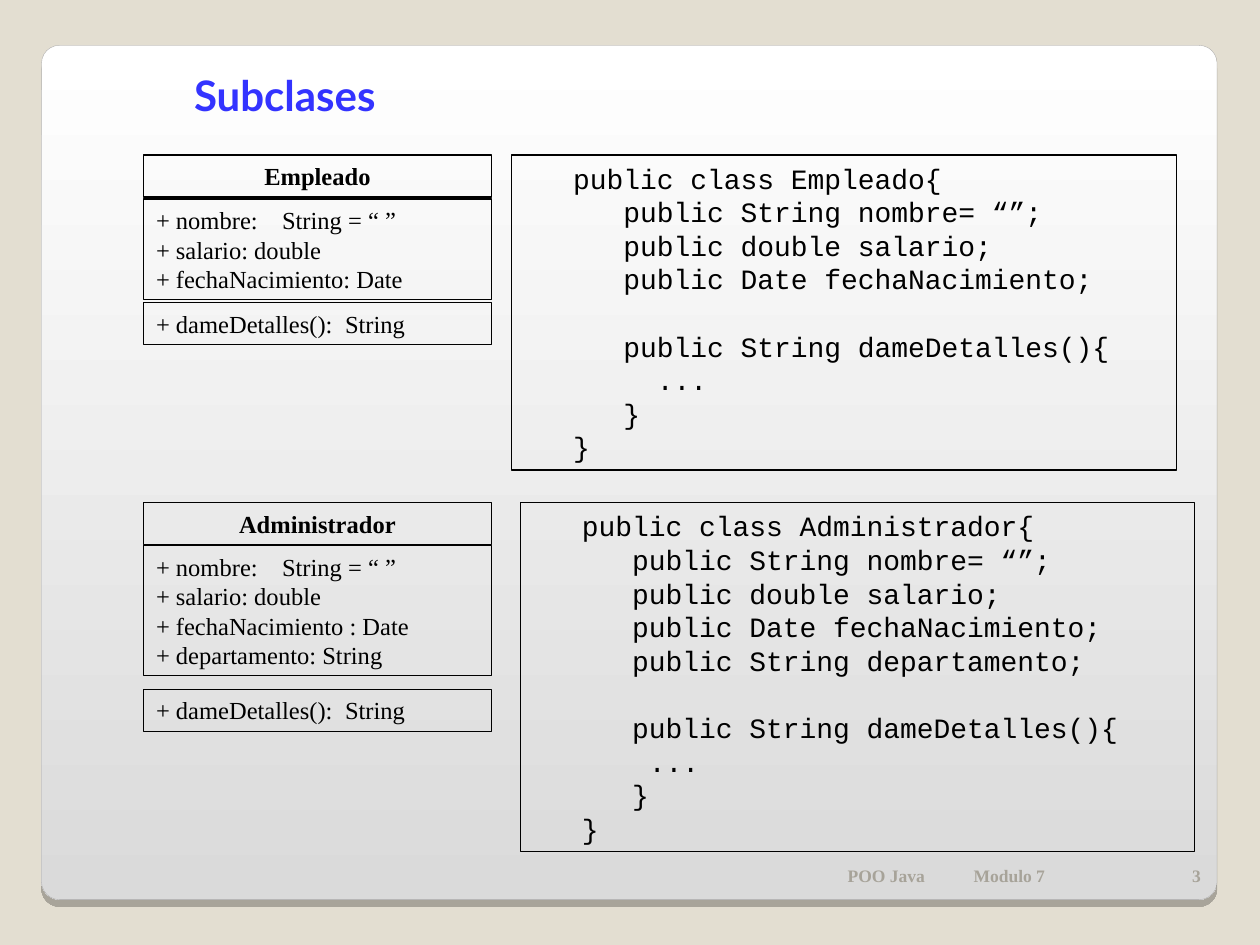
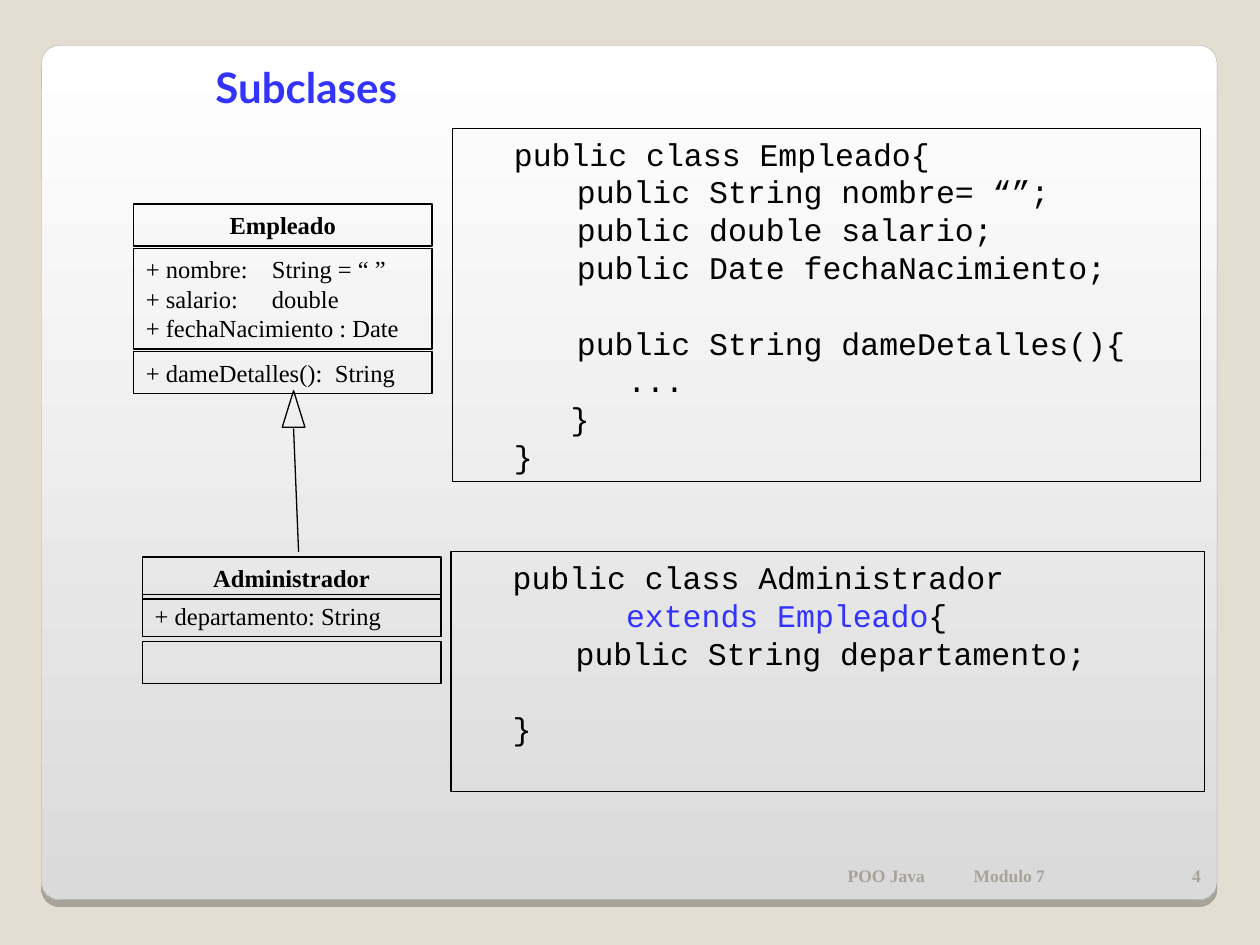
from lxml.etree import SubElement
from pptx import Presentation
from pptx.dml.color import RGBColor
from pptx.enum.shapes import MSO_CONNECTOR, MSO_SHAPE
from pptx.enum.text import MSO_ANCHOR as Anchor, MSO_AUTO_SIZE as AutoSize, PP_ALIGN as Align
from pptx.oxml.ns import qn
from pptx.util import Inches, Pt

COLORS = {
    "background": "E3DED1",
    "panel_top": "FFFFFF",
    "panel_bottom": "DADADA",
    "panel_edge": "A4A3A3",
    "accent": "3333FF",
    "ink": "000000",
    "footer": "A7A399",
}
SERIF, MONO, SANS = "Times New Roman", "Courier New", "Lato"
COLUMNS, ROWS = 10, 7.5  # the grid: one-inch cells
LEADING = 1.2
UML_SIZE = 14
UML_TABS = (0.9, 1.5)
CODE_INDENT = 0.39
FIRST_PAGE = 3


def color(name):
    return RGBColor.from_string(COLORS[name])


def cells(*lengths):
    """Turn grid columns and rows into slide lengths."""
    return [Inches(length) for length in lengths]


def text_height(rows, size):
    """Height of a box holding this many rows, with its insets."""
    return 0.1 + rows * size * LEADING / 72


def write(shape, lines, *, size, font=SERIF, ink="ink", bold=False,
          align=Align.LEFT, anchor=Anchor.TOP, indent=0, tabs=()):
    """Fill a shape; a line is a string or (text, colour) spans, and an empty one is a gap."""
    frame = shape.text_frame
    frame.word_wrap = True
    frame.auto_size = AutoSize.NONE
    frame.vertical_anchor = anchor
    para, gap = None, 0
    for line in lines:
        if not line:
            gap += size * LEADING
            continue
        para = frame.add_paragraph() if para else frame.paragraphs[0]
        properties = para._p.get_or_add_pPr()
        properties.set("marL", str(Inches(indent)))
        properties.set("indent", "0")
        if tabs:
            stops = SubElement(properties, qn("a:tabLst"))
            for stop in tabs:
                SubElement(stops, qn("a:tab"), pos=str(Inches(stop)), algn="l")
        para.alignment = align
        if gap:
            para.space_before = Pt(gap)
            gap = 0
        for text, span_ink in [(line, ink)] if isinstance(line, str) else line:
            span = para.add_run()
            span.text = text
            span.font.name = font
            span.font.size = Pt(size)
            span.font.bold = bold
            span.font.color.rgb = color(span_ink)


def add_outline(page, kind, left, top, width, height):
    shape = page.shapes.add_shape(kind, *cells(left, top, width, height))
    shape.shadow.inherit = False
    shape.fill.background()
    shape.line.color.rgb = color("ink")
    shape.line.width = Pt(0.75)
    return shape


def add_panel(deck, page):
    """Draw the rounded panel and hand it to the master, behind every slide."""
    panel = add_outline(page, MSO_SHAPE.ROUNDED_RECTANGLE, 0.33, 0.36, 9.33, 6.78)
    panel.adjustments[0] = 0.021
    panel.fill.gradient()
    panel.fill.gradient_angle = 270
    for stop, name in zip(panel.fill.gradient_stops, ("panel_top", "panel_bottom")):
        stop.color.rgb = color(name)
    panel.line.color.rgb = color("panel_edge")
    panel.line.width = Pt(0.17)
    effects = panel.element.spPr.find(qn("a:effectLst"))
    shadow = SubElement(effects, qn("a:outerShdw"), blurRad="0", dist=str(Pt(4)),
                        dir="5400000", algn="t", rotWithShape="0")
    tint = SubElement(shadow, qn("a:srgbClr"), val=COLORS["ink"])
    SubElement(tint, qn("a:alpha"), val="25000")
    deck.slide_master.shapes.element.insert(2, panel.element)


def add_title(page, text, left, top):
    title = page.shapes.title
    title.left, title.top, title.width, title.height = cells(left, top, 2.81, 0.5)
    write(title, [text], size=24, font=SANS, ink="accent", bold=True, indent=1)


def add_footer(page, number):
    for text, left, width, align in (("POO Java\tModulo 7", 6.63, 2.5, Align.LEFT),
                                     (str(number), 9.13, 0.5, Align.RIGHT)):
        box = page.shapes.add_textbox(*cells(left, 6.68, width, 0.4))
        write(box, [text], size=10, ink="footer", bold=True, align=align,
              anchor=Anchor.BOTTOM, tabs=(0.79,))


def add_class(page, name, left, width, tops, attributes, methods):
    """Draw a UML class: name, attributes and methods, one box each."""
    for top, lines in zip(tops, ([name], attributes, methods)):
        height = text_height(max(len(lines), 1), UML_SIZE)
        box = add_outline(page, MSO_SHAPE.RECTANGLE, left, top, width, height)
        heading = lines == [name]
        write(box, lines, size=UML_SIZE, bold=heading, tabs=() if heading else UML_TABS,
              align=Align.CENTER if heading else Align.LEFT)


def add_code(page, lines, left, top, width, size, tabs=(), wrapped=0):
    """Frame a listing; wrapped counts the rows that long lines add."""
    height = text_height(len(lines) + wrapped, size)
    box = add_outline(page, MSO_SHAPE.RECTANGLE, left, top, width, height)
    write(box, lines, size=size, font=MONO, indent=CODE_INDENT, tabs=tabs)


def add_inheritance(page, start, end):
    add_outline(page, MSO_SHAPE.ISOSCELES_TRIANGLE, start[0] - 0.09, start[1] - 0.3, 0.18, 0.29)
    stem = page.shapes.add_connector(MSO_CONNECTOR.STRAIGHT, *cells(*start, *end))
    stem.line.color.rgb = color("ink")
    stem.line.width = Pt(0.75)
    SubElement(stem.element.spPr, qn("a:effectLst"))


def employee_code(indent, body):
    """The Empleado listing, with its fields indented and its method body given."""
    return ["public class Empleado{",
            indent + "public String nombre= “”;",
            indent + "public double salario;",
            indent + "public Date fechaNacimiento;",
            "",
            indent + "public String dameDetalles(){",
            body, "   }", "}"]


def build_separate_classes(page):
    add_title(page, "Subclases", 0.44, 0.5)
    fields = ["+ nombre:\tString = “ ”", "+ salario: double"]
    methods = ["+ dameDetalles():\tString"]
    add_class(page, "Empleado", 1.14, 2.76, (1.23, 1.58, 2.4),
              fields + ["+ fechaNacimiento: Date"], methods)
    add_class(page, "Administrador", 1.14, 2.76, (3.99, 4.33, 5.47),
              fields + ["+ fechaNacimiento : Date", "+ departamento: String"], methods)
    add_code(page, employee_code("   ", "     ..."), 4.06, 1.23, 5.28, 16)
    fields_code = employee_code("   ", "    ...")[1:]
    fields_code.insert(3, "   public String departamento;")
    add_code(page, ["public class Administrador{"] + fields_code, 4.13, 3.99, 5.35, 16)


def build_inheritance(page):
    add_title(page, "Subclases", 0.61, 0.44)
    add_class(page, "Empleado", 1.06, 2.37, (1.62, 1.97, 2.79),
              ["+ nombre:\tString = “ ”", "+ salario:\tdouble", "+ fechaNacimiento : Date"],
              ["+ dameDetalles():\tString"])
    add_class(page, "Administrador", 1.13, 2.37, (4.42, 4.72, 5.09),
              ["+ departamento: String"], [])
    add_inheritance(page, (2.33, 3.4), (2.37, 4.38))
    add_code(page, employee_code("\t", "      ..."), 3.59, 1.02, 5.94, 18, tabs=(0.79,))
    add_code(page, ["public class Administrador",
                    [("      ", "ink"), ("extends Empleado", "accent"), ("{", "ink")],
                    "\tpublic String departamento;", "", "}"],
             3.58, 4.38, 5.98, 18, tabs=(1.46,), wrapped=1)


def main():
    deck = Presentation()
    deck.slide_width, deck.slide_height = cells(COLUMNS, ROWS)
    background = deck.slide_master.background.fill
    background.solid()
    background.fore_color.rgb = color("background")
    title_only = deck.slide_layouts[5]
    for number, build in enumerate((build_separate_classes, build_inheritance), FIRST_PAGE):
        page = deck.slides.add_slide(title_only)
        if number == FIRST_PAGE:
            add_panel(deck, page)
        build(page)
        add_footer(page, number)
    deck.save("out.pptx")


if __name__ == "__main__":
    main()
